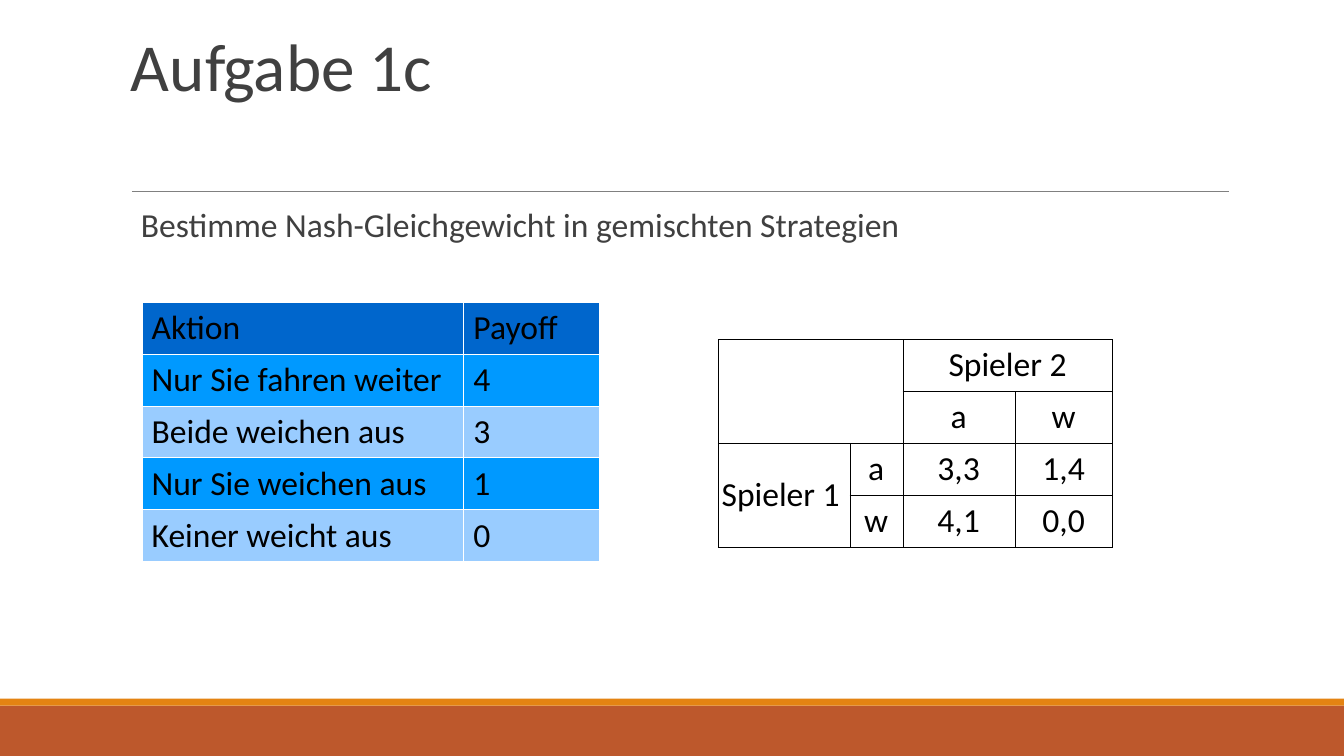
from lxml import etree
from pptx import Presentation
from pptx import util as u
from pptx.dml.color import RGBColor
from pptx.enum import shapes, text
from pptx.oxml import ns

Pt = u.Pt
RUST = RGBColor(0xBD, 0x58, 0x2C)
ORANGE = RGBColor(0xE4, 0x83, 0x12)
GRAY = RGBColor(0x80, 0x80, 0x80)
DARK_GRAY = RGBColor(0x40, 0x40, 0x40)
BLACK = RGBColor(0, 0, 0)
WHITE = RGBColor(0xFF, 0xFF, 0xFF)
HEADER_BLUE = RGBColor(0x00, 0x66, 0xCC)
BLUE = RGBColor(0x00, 0x99, 0xFF)
LIGHT_BLUE = RGBColor(0x99, 0xCC, 0xFF)
LEFT, CENTER = text.PP_ALIGN.LEFT, text.PP_ALIGN.CENTER


class SlideBuilder:
    font = "Calibri"
    body_size = 24
    row_height = 37.1
    border_width = 0.06

    def __init__(self, slide):
        self.slide = slide

    def set_text(self, text_frame, content, size, color, spacing, align=LEFT):
        text_frame.text = content
        paragraph = text_frame.paragraphs[0]
        paragraph.alignment = align
        paragraph.line_spacing = spacing
        for run in paragraph.runs:
            run.font.name = self.font
            run.font.size = Pt(size)
            run.font.color.rgb = color

    def title(self, content, left, top, width, height):
        shape = self.slide.shapes.title
        shape.left, shape.top, shape.width, shape.height = map(Pt, (left, top, width, height))
        shape.text_frame.vertical_anchor = text.MSO_ANCHOR.TOP
        self.set_text(shape.text_frame, content, 48, DARK_GRAY, 0.85)

    def text_box(self, content, left, top, width, height):
        shape = self.slide.shapes.add_textbox(Pt(left), Pt(top), Pt(width), Pt(height))
        shape.text_frame.word_wrap = True
        self.set_text(shape.text_frame, content, self.body_size, DARK_GRAY, 0.9)

    def bar(self, left, top, width, height, color):
        shape = self.slide.shapes.add_shape(
            shapes.MSO_SHAPE.RECTANGLE, Pt(left), Pt(top), Pt(width), Pt(height))
        shape.shadow.inherit = False
        shape.fill.solid()
        shape.fill.fore_color.rgb = color
        shape.line.fill.background()

    def rule(self, left, right, y):
        line = self.slide.shapes.add_connector(
            shapes.MSO_CONNECTOR.STRAIGHT, Pt(left), Pt(y), Pt(right), Pt(y))
        line.line.color.rgb = GRAY
        line.line.width = Pt(0.5)
        etree.SubElement(line._element.spPr, ns.qn("a:effectLst"))

    def borders(self, cell, color):
        properties = cell._tc.get_or_add_tcPr()
        for side in ("a:lnL", "a:lnR", "a:lnT", "a:lnB"):
            line = etree.SubElement(properties, ns.qn(side), w=str(Pt(self.border_width)))
            fill = etree.SubElement(line, ns.qn("a:solidFill"))
            etree.SubElement(fill, ns.qn("a:srgbClr"), val=str(color))

    def table(self, rows, left, top, widths, fills, border, margin, align=LEFT, merges=()):
        frame = self.slide.shapes.add_table(
            len(rows), len(widths), Pt(left), Pt(top),
            Pt(sum(widths)), Pt(self.row_height * len(rows)))
        table = frame.table
        table.first_row = table.horz_banding = False
        for column, width in zip(table.columns, widths):
            column.width = Pt(width)
        for r, (row, color) in enumerate(zip(rows, fills)):
            table.rows[r].height = Pt(self.row_height)
            for c, content in enumerate(row):
                cell = table.cell(r, c)
                cell.margin_left = cell.margin_right = Pt(margin)
                self.borders(cell, border)
                cell.fill.solid()
                cell.fill.fore_color.rgb = color
                if content:
                    self.set_text(cell.text_frame, content, self.body_size, BLACK, 1.02, align)
        for first, last in merges:
            table.cell(*first).merge(table.cell(*last))
        return table


def main():
    presentation = Presentation()
    presentation.slide_width, presentation.slide_height = Pt(960.5), Pt(540)
    builder = SlideBuilder(presentation.slides.add_slide(presentation.slide_layouts[5]))

    # Footer bars and title rule
    builder.bar(0, 504, 960.5, 36, RUST)
    builder.bar(0, 499, 960.5, 5, ORANGE)
    builder.rule(94.3, 878.4, 136.8)

    # Title and task
    builder.title("Aufgabe 1c", 86.4, 22.3, 792, 114.5)
    builder.text_box("Bestimme Nash-Gleichgewicht in gemischten Strategien",
                     93.6, 145.4, 784.8, 40)

    # Payoffs by action
    payoffs = [("Aktion", "Payoff"), ("Nur Sie fahren weiter", "4"),
               ("Beide weichen aus", "3"), ("Nur Sie weichen aus", "1"),
               ("Keiner weicht aus", "0")]
    builder.table(payoffs, 101.2, 215.6, (230, 97),
                  [HEADER_BLUE] + [BLUE, LIGHT_BLUE] * 2, WHITE, 7.2)

    # Game matrix
    game = [("", "", "Spieler 2", ""), ("", "", "a", "w"),
            ("Spieler 1", "a", "3,3", "1,4"), ("", "w", "4,1", "0,0")]
    merges = [((0, 0), (1, 1)), ((0, 2), (0, 3)), ((2, 0), (3, 0))]
    matrix = builder.table(game, 513, 242.3, (94.2, 37.9, 80, 70), [WHITE] * 4,
                           BLACK, 2.7, CENTER, merges)
    row_player = matrix.cell(2, 0)
    row_player.vertical_anchor = text.MSO_ANCHOR.MIDDLE
    row_player.text_frame.paragraphs[0].alignment = LEFT

    presentation.save("out.pptx")


if __name__ == "__main__":
    main()
